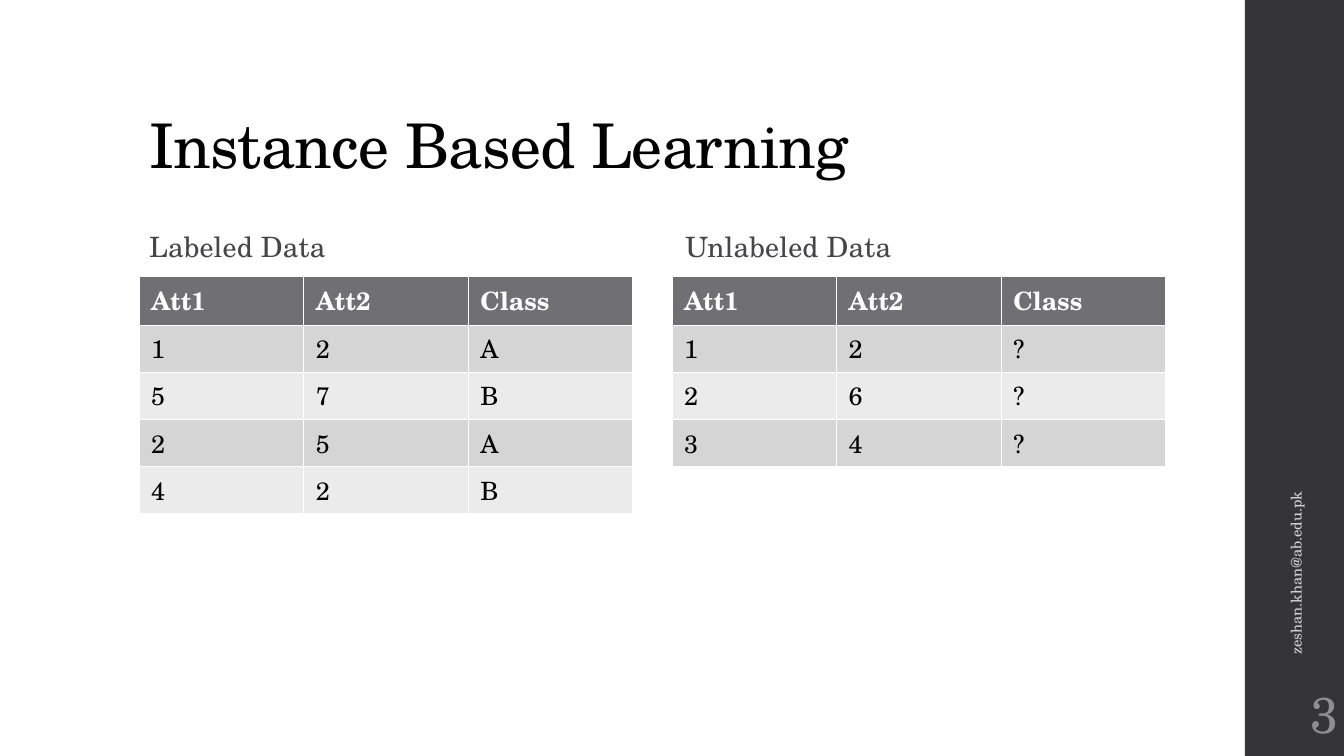
import pptx
import pptx.util
import pptx.dml.color
import pptx.enum.text
import pptx.enum.shapes

RGB = pptx.dml.color.RGBColor
BLACK = RGB(0x00, 0x00, 0x00)
WHITE = RGB(0xFF, 0xFF, 0xFF)
DARK = RGB(0x35, 0x35, 0x37)
SLATE = RGB(0x46, 0x46, 0x4A)
HEAD = RGB(0x6F, 0x6F, 0x74)
BANDS = [RGB(0xEB, 0xEB, 0xEB), RGB(0xD5, 0xD5, 0xD6)]
PALE = RGB(0xD9, 0xD9, 0xDB)
GREY = RGB(0x8E, 0x8E, 0x94)
FACE = "TeX Gyre Schola"
Pt = pptx.util.Pt
ANCHOR = pptx.enum.text.MSO_ANCHOR
ALIGN = pptx.enum.text.PP_ALIGN

deck = pptx.Presentation()
deck.slide_width = pptx.util.Inches(13.33)
deck.slide_height = pptx.util.Inches(7.5)


def share(left, top, width, height):
    wide, high = deck.slide_width / 100, deck.slide_height / 100
    return [round(n) for n in (left * wide, top * high, width * wide, height * high)]


def write(frame, text, size, color, bold=False, gap=0, frames={}, paras={}):
    frame.text = text
    para = frame.paragraphs[0]
    run = para.runs[0]
    font = {"name": FACE, "size": Pt(size), "bold": bold}
    for item, form in ((frame, frames), (para, paras), (run.font, font)):
        for key, value in form.items():
            setattr(item, key, value)
    run.font.color.rgb = color
    if gap:
        run.font._element.set("spc", str(gap))


slide = deck.slides.add_slide(deck.slide_layouts[4])
for index in (2, 4):
    spare = slide.placeholders[index]._element
    spare.getparent().remove(spare)

bar = slide.shapes.add_shape(pptx.enum.shapes.MSO_SHAPE.RECTANGLE, *share(92.62, 0, 7.38, 100))
bar.shadow.inherit = False
bar.fill.solid()
bar.fill.fore_color.rgb = DARK
bar.line.fill.background()

FIXED = {"word_wrap": True, "auto_size": pptx.enum.text.MSO_AUTO_SIZE.NONE}
LOW = {**FIXED, "vertical_anchor": ANCHOR.BOTTOM}
MID = {**FIXED, "vertical_anchor": ANCHOR.MIDDLE}

title = slide.shapes.title
title.left, title.top, title.width, title.height = share(10.35, 5.33, 79.5, 19.33)
write(title.text_frame, "Instance Based Learning", 44, BLACK, gap=-50, frames=LOW,
      paras={"alignment": ALIGN.LEFT, "line_spacing": 0.9})

NAMES = ["Att1", "Att2", "Class"]
GROUPS = [
    (1, "Labeled Data", 10.35, 10.35, ["12A", "57B", "25A", "42B"]),
    (3, "Unlabeled Data", 50.25, 50, ["12?", "26?", "34?"]),
]
SPAN, ROW = 36.75, 5.47
SIDES = {"margin_left": pptx.util.Inches(0.12), "margin_right": pptx.util.Inches(0.12)}
for index, label, left, edge, data in GROUPS:
    body = slide.placeholders[index]
    body.left, body.top, body.width, body.height = share(left, 24.93, SPAN, 10.67)
    write(body.text_frame, label, 20, SLATE, gap=10, frames=LOW,
          paras={"line_spacing": 0.95, "space_before": Pt(0), "space_after": Pt(2)})
    rows = [NAMES, *data]
    place = share(edge, 36.53, SPAN, ROW * len(rows))
    table = slide.shapes.add_table(len(rows), len(NAMES), *place).table
    for r, row in enumerate(rows):
        for c, text in enumerate(row):
            cell = table.cell(r, c)
            for key, value in SIDES.items():
                setattr(cell, key, value)
            cell.fill.solid()
            cell.fill.fore_color.rgb = BANDS[r % 2] if r else HEAD
            write(cell.text_frame, text, 18, BLACK if r else WHITE, bold=r == 0)

mail = slide.shapes.add_textbox(*share(81.7, 59.07, 29.41, 5.33))
mail.rotation = 270
write(mail.text_frame, "zeshan.khan@ab.edu.pk", 10.5, PALE, frames=MID)

page = slide.shapes.add_textbox(*share(92.62, 90, 7.38, 8.67))
inset = pptx.util.Inches(0.05)
write(page.text_frame, "3", 36, GREY, paras={"alignment": ALIGN.RIGHT},
      frames={**MID, "margin_left": inset, "margin_right": inset})

deck.save("out.pptx")
